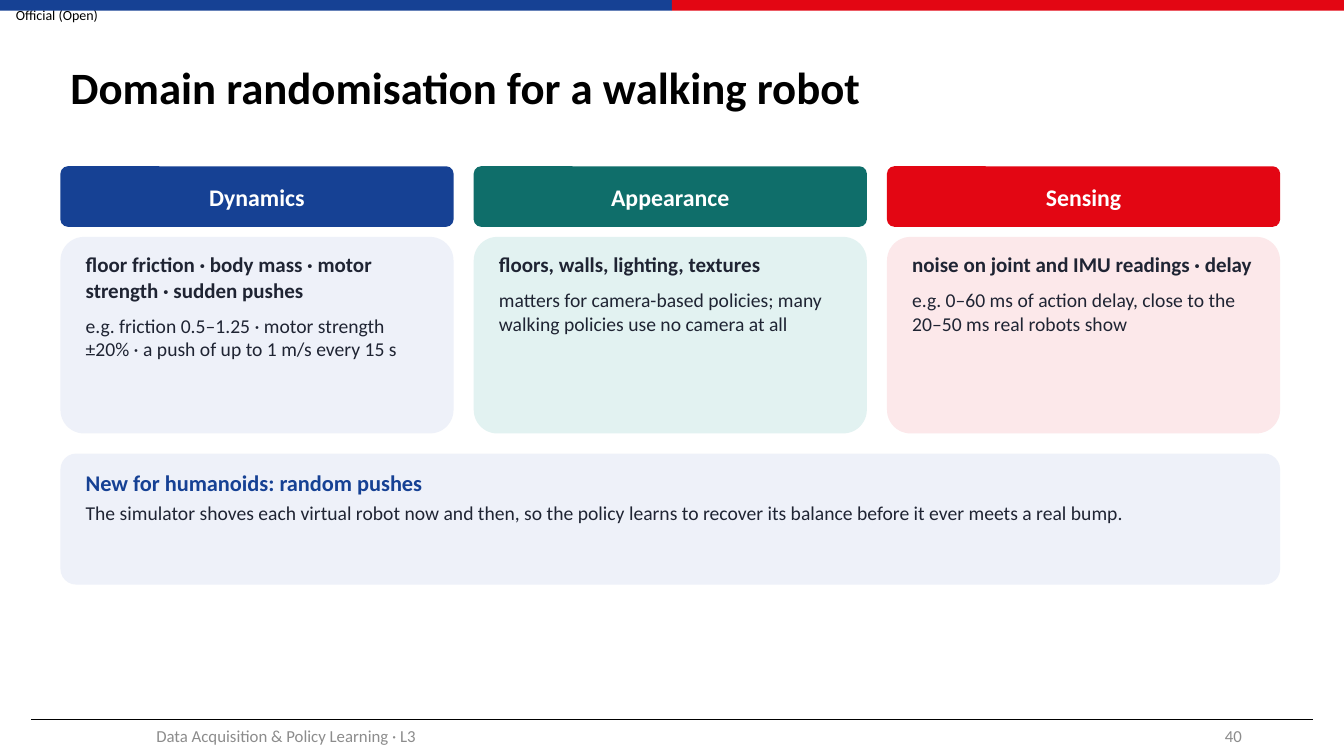
from lxml.etree import SubElement
from pptx import Presentation
from pptx.dml.color import RGBColor
from pptx.enum.shapes import MSO_CONNECTOR, MSO_SHAPE
from pptx.enum.text import MSO_ANCHOR as ANCHOR, PP_ALIGN as ALIGN
from pptx.oxml.ns import qn
from pptx.util import Pt

COLORS = {
    "blue": "164194", "red": "E30613", "teal": "0F6E6A",
    "pale_blue": "EEF1F9", "pale_teal": "E2F2F1", "pale_red": "FCE8EA",
    "ink": "1F2433", "grey": "8C8C8C", "black": "000000", "white": "FFFFFF",
}

presentation = Presentation()
presentation.slide_width = Pt(960)
presentation.slide_height = Pt(540)
slide = presentation.slides.add_slide(presentation.slide_layouts[6])


def add_box(left, top, width, height, kind=None, fill=None, margins=(0, 0), anchor=ANCHOR.TOP):
    frame = Pt(left), Pt(top), Pt(width), Pt(height)
    if kind is None:
        shape = slide.shapes.add_textbox(*frame)
    else:
        shape = slide.shapes.add_shape(kind, *frame)
        shape.shadow.inherit = False
        shape.fill.solid()
        shape.fill.fore_color.rgb = RGBColor.from_string(COLORS[fill])
        shape.line.fill.background()
        if kind == MSO_SHAPE.ROUNDED_RECTANGLE:
            shape.adjustments[0] = 0.12
    text_frame = shape.text_frame
    text_frame.word_wrap = True
    text_frame.vertical_anchor = anchor
    text_frame.margin_left = text_frame.margin_right = Pt(margins[0])
    text_frame.margin_top = text_frame.margin_bottom = Pt(margins[1])
    return shape


def write(shape, text, size=14, color="ink", bold=False, align=ALIGN.LEFT, after=0, spacing=1.0):
    text_frame = shape.text_frame
    paragraph = text_frame.add_paragraph() if text_frame.text else text_frame.paragraphs[0]
    paragraph.alignment = align
    paragraph.space_after = Pt(after)
    paragraph.line_spacing = spacing
    run = paragraph.add_run()
    run.text = text
    run.font.name = "Calibri"
    run.font.size = Pt(size)
    run.font.bold = bold
    run.font.color.rgb = RGBColor.from_string(COLORS[color])


classification = add_box(0, 0, 81.4, 20.9, anchor=ANCHOR.MIDDLE)
classification.text_frame.word_wrap = False
write(classification, "Official (Open)", size=10, color="black", align=ALIGN.CENTER)

for index, color in enumerate(["blue", "red"]):
    add_box(480 * index, 0, 480, 7.7, MSO_SHAPE.RECTANGLE, color)

footer_rule = slide.shapes.add_connector(MSO_CONNECTOR.STRAIGHT, Pt(22.3), Pt(514), Pt(938), Pt(514))
footer_rule.line.color.rgb = RGBColor.from_string(COLORS["black"])
footer_rule.line.width = Pt(0.5)
SubElement(footer_rule.element.spPr, qn("a:effectLst"))

title = add_box(43.2, 21.6, 870, 85, margins=(7.2, 3.6), anchor=ANCHOR.MIDDLE)
write(title, "Domain randomisation for a walking robot", size=32, color="black", bold=True, spacing=0.9)

LEFT, CARD_WIDTH, GAP, PADDING = 43.2, 280.8, 14.4, 18
ROUNDED = MSO_SHAPE.ROUNDED_RECTANGLE

cards = [
    ("Dynamics", "blue", "pale_blue",
     "floor friction · body mass · motor strength · sudden pushes",
     "e.g. friction 0.5–1.25 · motor strength ±20% · a push of up to 1 m/s every 15 s"),
    ("Appearance", "teal", "pale_teal",
     "floors, walls, lighting, textures",
     "matters for camera-based policies; many walking policies use no camera at all"),
    ("Sensing", "red", "pale_red",
     "noise on joint and IMU readings · delay",
     "e.g. 0–60 ms of action delay, close to the 20–50 ms real robots show"),
]
for index, (heading, color, pale, what, example) in enumerate(cards):
    left = LEFT + index * (CARD_WIDTH + GAP)
    header = add_box(left, 118.8, CARD_WIDTH, 43.2, ROUNDED, color, (8.64, 4.32), ANCHOR.MIDDLE)
    write(header, heading, size=17, color="white", bold=True, align=ALIGN.CENTER)
    add_box(left, 169.2, CARD_WIDTH, 140.4, ROUNDED, pale)
    body = add_box(left + PADDING, 180, CARD_WIDTH - 2 * PADDING, 122.4)
    write(body, what, size=15, bold=True, after=8)
    write(body, example)

banner_width = 3 * CARD_WIDTH + 2 * GAP
add_box(LEFT, 324, banner_width, 93.6, ROUNDED, "pale_blue")
banner = add_box(LEFT + PADDING, 334.8, banner_width - 2 * PADDING, 75.6)
write(banner, "New for humanoids: random pushes", size=16, color="blue", bold=True, after=4)
write(banner, "The simulator shoves each virtual robot now and then, so the policy learns "
      "to recover its balance before it ever meets a real bump.")

footers = [
    (42.5, 324, "Data Acquisition & Policy Learning · L3", ALIGN.CENTER),
    (678.2, 216, "40", ALIGN.RIGHT),
]
for left, width, text, align in footers:
    footer = add_box(left, 511.2, width, 28.8, margins=(7.2, 3.6), anchor=ANCHOR.MIDDLE)
    write(footer, text, size=12, color="grey", align=align)

presentation.save("out.pptx")
